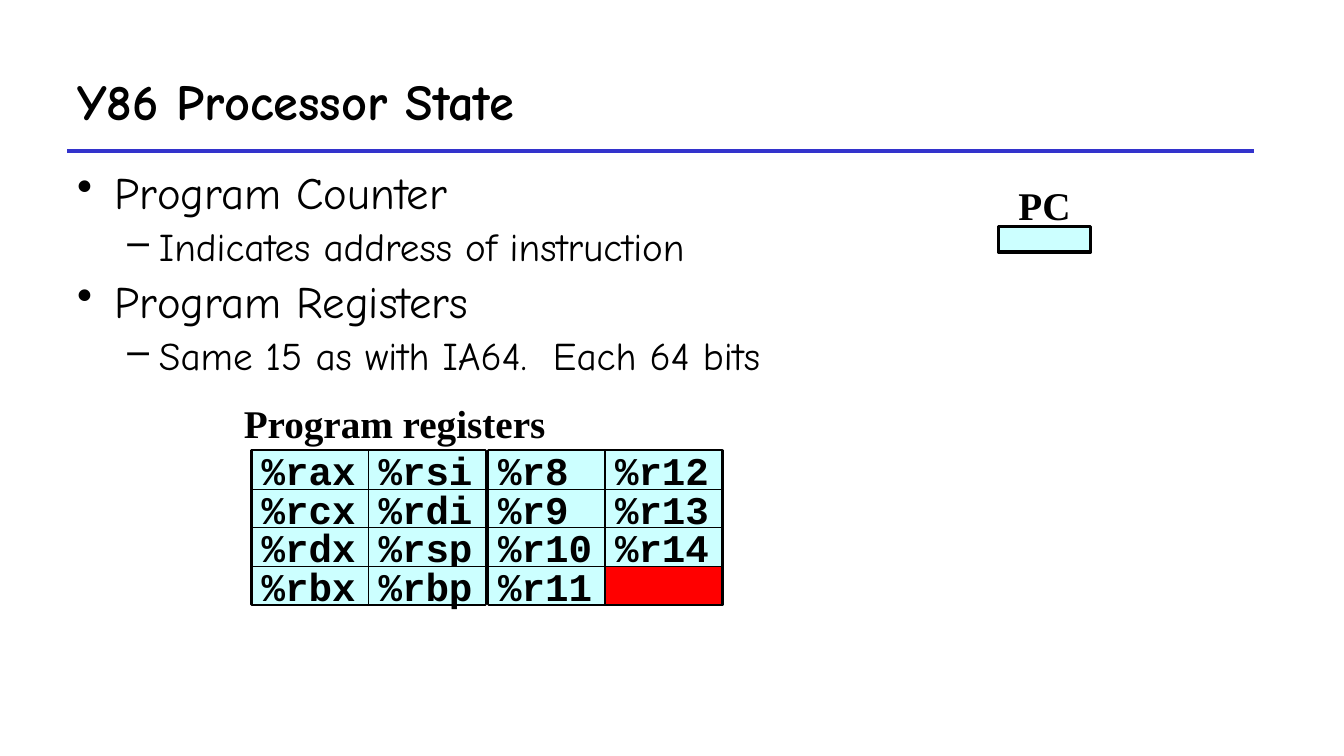
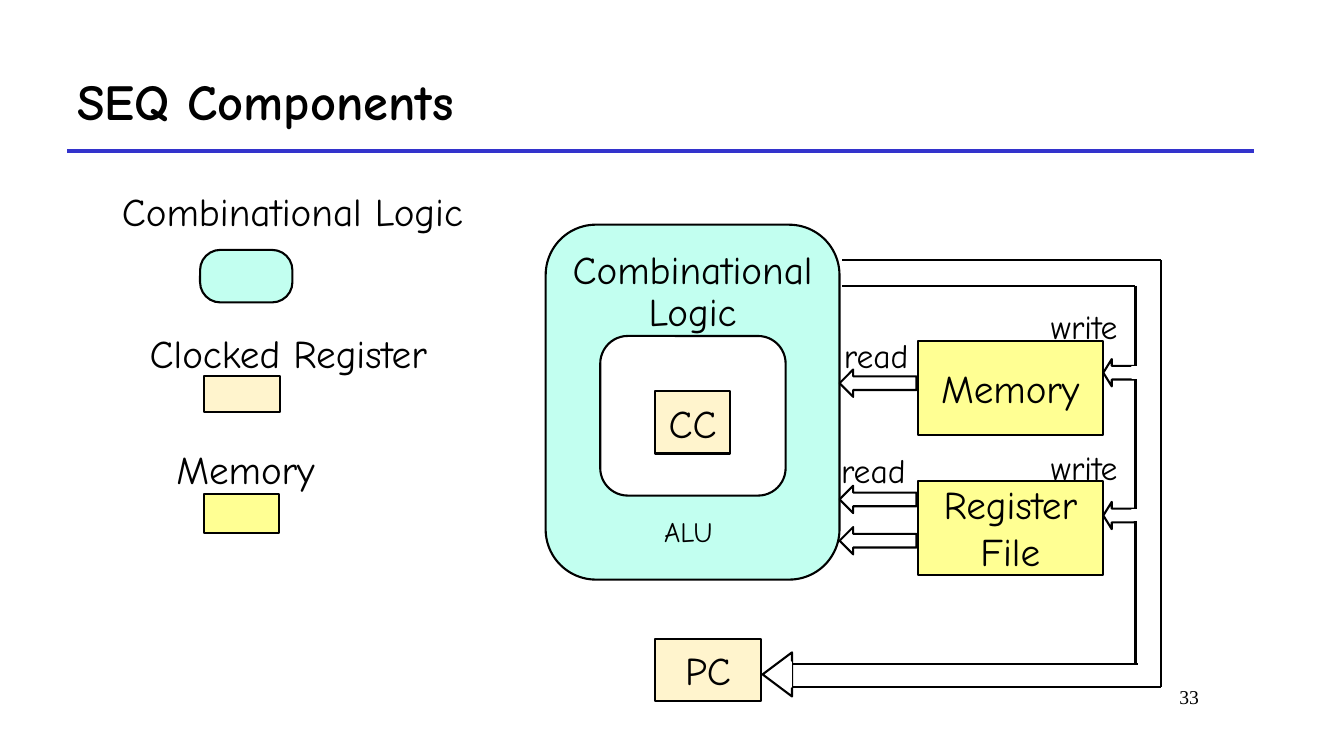
from lxml import etree
from pptx import Presentation, util as u
from pptx.dml.color import RGBColor
from pptx.enum import shapes as kinds, text as t
from pptx.oxml.ns import qn

BLACK, WHITE, RED, RULE = "000000", "FFFFFF", "FF0000", "3333CC"
CYAN, LOGIC, MEMORY, CLOCKED = "CCFFFF", "C2FFF0", "FFFF93", "FFF4CD"
HAND, SERIF, MONO = "Comic Neue", "Times New Roman", "Courier New"
RECT = kinds.MSO_SHAPE.RECTANGLE
ROUND = kinds.MSO_SHAPE.ROUNDED_RECTANGLE
ARROW = kinds.MSO_SHAPE.LEFT_ARROW
LEFT, CENTER, RIGHT = t.PP_ALIGN.LEFT, t.PP_ALIGN.CENTER, t.PP_ALIGN.RIGHT
MIDDLE, TOP = t.MSO_ANCHOR.MIDDLE, t.MSO_ANCHOR.TOP

STATE_POINTS = [
    (0, "Program Counter"),
    (1, "Indicates address of instruction"),
    (0, "Program Registers"),
    (1, "Same 15 as with IA64.  Each 64 bits"),
]
POINT_LEVELS = [
    {"size": 32, "bullet": "•", "margin": 27, "hang": 27},
    {"size": 28, "bullet": "–", "margin": 58.5, "hang": 22.5},
]
REGISTER_BANKS = [
    (180, [["%rax", "%rcx", "%rdx", "%rbx"], ["%rsi", "%rdi", "%rsp", "%rbp"]]),
    (349, [["%r8", "%r9", "%r10", "%r11"], ["%r12", "%r13", "%r14", None]]),
]
BANK_TOP, CELL_WIDTH, CELL_HEIGHT = 322, 83.5, 27.5

LEGEND = [
    ("Combinational Logic", (54, 134, 310, 37.5), ROUND, (143, 178.5, 66, 37.5), LOGIC, [0.386]),
    ("Clocked Register", (82, 235.5, 248, 37.5), RECT, (146, 268.5, 54, 26), CLOCKED, []),
    ("Memory", (84, 318, 183, 37.5), RECT, (145.5, 353, 54, 28), MEMORY, []),
]
LOGIC_BLOCKS = [
    ((390, 160.5, 210, 253.5), LOGIC, 0.171),
    ((429, 240, 132.5, 114), WHITE, 0.173),
]
LOGIC_LABELS = [
    ("Combinational Logic", (394, 175.5, 202, 68), 28),
    ("ALU", (391, 367, 202, 29), 20),
]
UNITS = [
    ("Register File", (656, 343.5, 132, 67), MEMORY),
    ("Memory", (656, 243.5, 132, 67), MEMORY),
    ("CC", (468, 279.5, 54, 44.5), CLOCKED),
    ("PC", (468, 456.5, 76, 44.5), CLOCKED),
]
READ_ARROW_TOPS = [264, 347, 376.5]
WRITE_ARROW_TOPS = [256.5, 358.5]
BUS_LINES = [
    (602, 204, 811.5, 204),
    (602, 186, 829.5, 186),
    (811.5, 204, 811.5, 474),
    (829.5, 186, 829.5, 490.5),
    (562, 474, 813, 474),
    (560, 490.5, 830, 490.5),
]
PORT_LABELS = [
    ("read", (596, 235.5, 67, 36)),
    ("read", (594, 317.5, 72, 36)),
    ("write", (744, 215, 86, 36)),
    ("write", (744, 315.5, 86, 36)),
]


def color(hex_code):
    return RGBColor.from_string(hex_code)


def place(box):
    return [u.Pt(length) for length in box]


def write(frame, content, *, size=28, font=HAND, bold=False, align=CENTER, anchor=TOP,
          wrap=True, spacing=None, before=0, bullet=None, margin=0, hang=0, add=False):
    frame.word_wrap = wrap
    frame.vertical_anchor = anchor
    paragraph = frame.add_paragraph() if add else frame.paragraphs[0]
    paragraph.alignment = align
    paragraph.space_before = u.Pt(before)
    if spacing:
        paragraph.line_spacing = spacing
    run = paragraph.add_run()
    run.text = content
    run.font.size, run.font.name, run.font.bold = u.Pt(size), font, bold
    run.font.color.rgb = color(BLACK)
    if bullet:
        props = paragraph._p.get_or_add_pPr()
        props.set("marL", str(u.Pt(margin)))
        props.set("indent", str(-u.Pt(hang)))
        etree.SubElement(props, qn("a:buChar")).set("char", bullet)


def label(slide, content, box, **style):
    write(slide.shapes.add_textbox(*place(box)).text_frame, content, **style)


def block(slide, kind, box, fill=None, line=BLACK, width=1.5, adjust=()):
    shape = slide.shapes.add_shape(kind, *place(box))
    shape.shadow.inherit = False
    if fill:
        shape.fill.solid()
        shape.fill.fore_color.rgb = color(fill)
    else:
        shape.fill.background()
    shape.line.color.rgb = color(line)
    shape.line.width = u.Pt(width)
    for index, value in enumerate(adjust):
        shape.adjustments[index] = value
    return shape


def stroke(slide, ends, line=BLACK, width=1.5):
    connector = slide.shapes.add_connector(kinds.MSO_CONNECTOR.STRAIGHT, *place(ends))
    connector.line.color.rgb = color(line)
    connector.line.width = u.Pt(width)
    etree.SubElement(connector.element.spPr, qn("a:effectLst"))
    return connector


def titled_slide(deck, heading):
    slide = deck.slides.add_slide(deck.slide_layouts[5])
    title = slide.shapes.title
    title.left, title.top, title.width, title.height = place((48, 36, 848, 72))
    write(title.text_frame, heading, size=36, bold=True, align=LEFT, anchor=MIDDLE)
    stroke(slide, (48, 108, 896, 108), RULE, 3)
    return slide


def processor_state(deck):
    slide = titled_slide(deck, "Y86 Processor State")
    points = slide.shapes.add_textbox(*place((48, 114, 588, 393))).text_frame
    for index, (level, point) in enumerate(STATE_POINTS):
        write(points, point, align=LEFT, before=3, add=index > 0, **POINT_LEVELS[level])

    block(slide, RECT, (713.5, 162, 66, 18), CYAN, width=2.25)
    label(slide, "PC", (713.5, 126, 66, 41), font=SERIF, bold=True)
    label(slide, "Program registers", (144, 282, 276, 41), font=SERIF, bold=True)
    for left, columns in REGISTER_BANKS:
        bank = (left, BANK_TOP, len(columns) * CELL_WIDTH, len(columns[0]) * CELL_HEIGHT)
        block(slide, RECT, bank, CYAN, width=2.25)
        for col, registers in enumerate(columns):
            for row, register in enumerate(registers):
                cell = block(
                    slide, RECT,
                    (left + col * CELL_WIDTH, BANK_TOP + row * CELL_HEIGHT, CELL_WIDTH, CELL_HEIGHT),
                    CYAN if register else RED, width=1)
                if register:
                    write(cell.text_frame, register, font=MONO, bold=True,
                          align=LEFT, anchor=MIDDLE, wrap=False)


def seq_components(deck):
    slide = titled_slide(deck, "SEQ Components")
    label(slide, "33", (728, 486, 136, 36), size=14, font=SERIF, align=RIGHT)
    for name, label_box, kind, swatch_box, fill, adjust in LEGEND:
        block(slide, kind, swatch_box, fill, adjust=adjust)
        label(slide, name, label_box, spacing=0.9)

    for box, fill, corner in LOGIC_BLOCKS:
        block(slide, ROUND, box, fill, adjust=[corner])
    for name, box, size in LOGIC_LABELS:
        label(slide, name, box, size=size, spacing=0.9)
    for name, box, fill in UNITS:
        unit = block(slide, RECT, box, fill)
        write(unit.text_frame, name, anchor=MIDDLE)

    for ends in BUS_LINES:
        stroke(slide, ends)
    for top in READ_ARROW_TOPS:
        block(slide, ARROW, (600, top, 55, 19.5))
    for top in WRITE_ARROW_TOPS:
        block(slide, ARROW, (788.5, top, 22.5, 19.5), adjust=[0.5, 0.311])
        block(slide, RECT, (809, top + 6, 3.6, 7.2), WHITE, WHITE)
    block(slide, ARROW, (545, 466, 21, 31.5), adjust=[0.5, 1])
    block(slide, RECT, (559.5, 473, 6, 17.5), WHITE, WHITE)
    for name, box in PORT_LABELS:
        label(slide, name, box, size=24, align=LEFT)


def main():
    deck = Presentation()
    deck.slide_width, deck.slide_height = u.Pt(960.48), u.Pt(540)
    processor_state(deck)
    seq_components(deck)
    deck.save("out.pptx")


if __name__ == "__main__":
    main()
